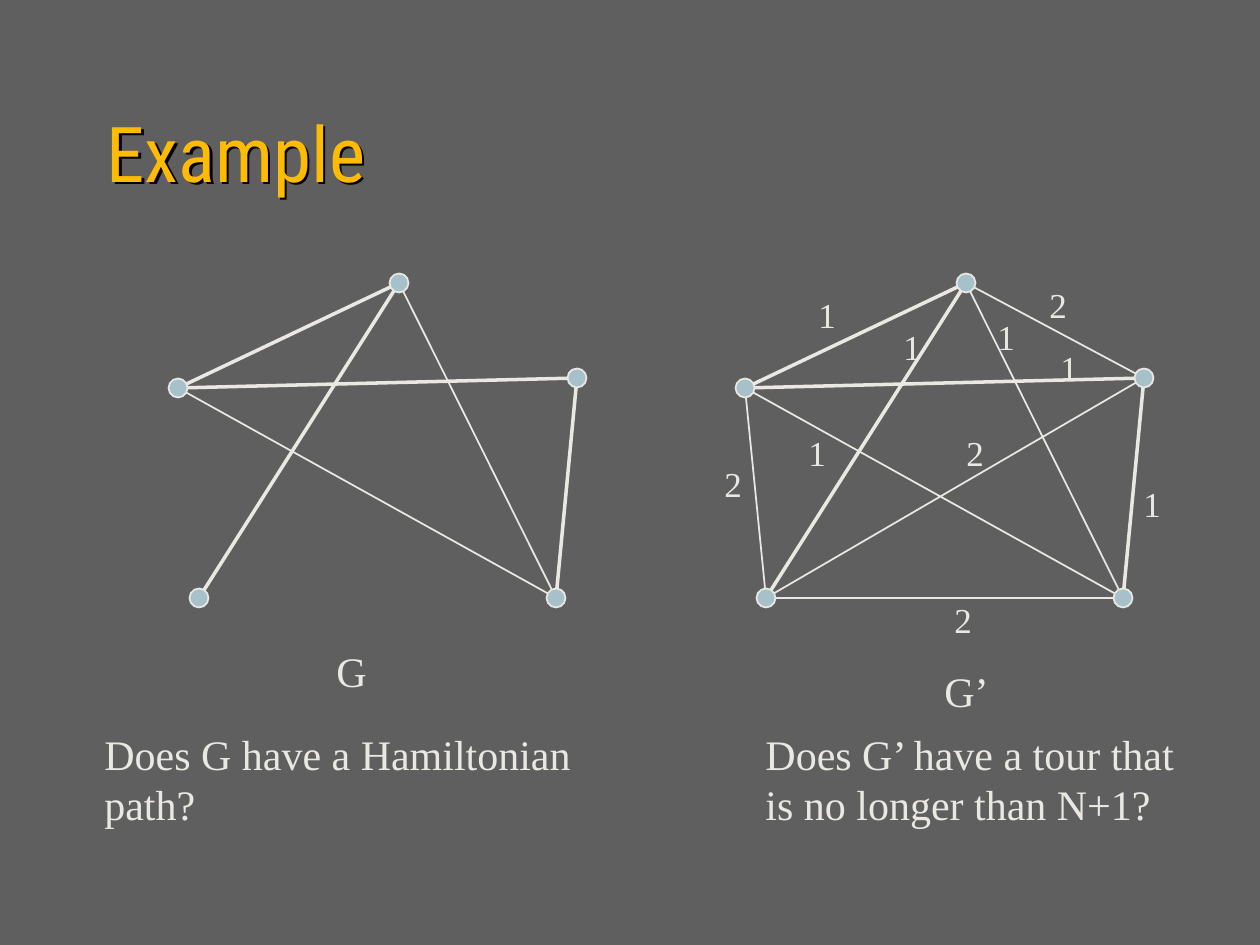
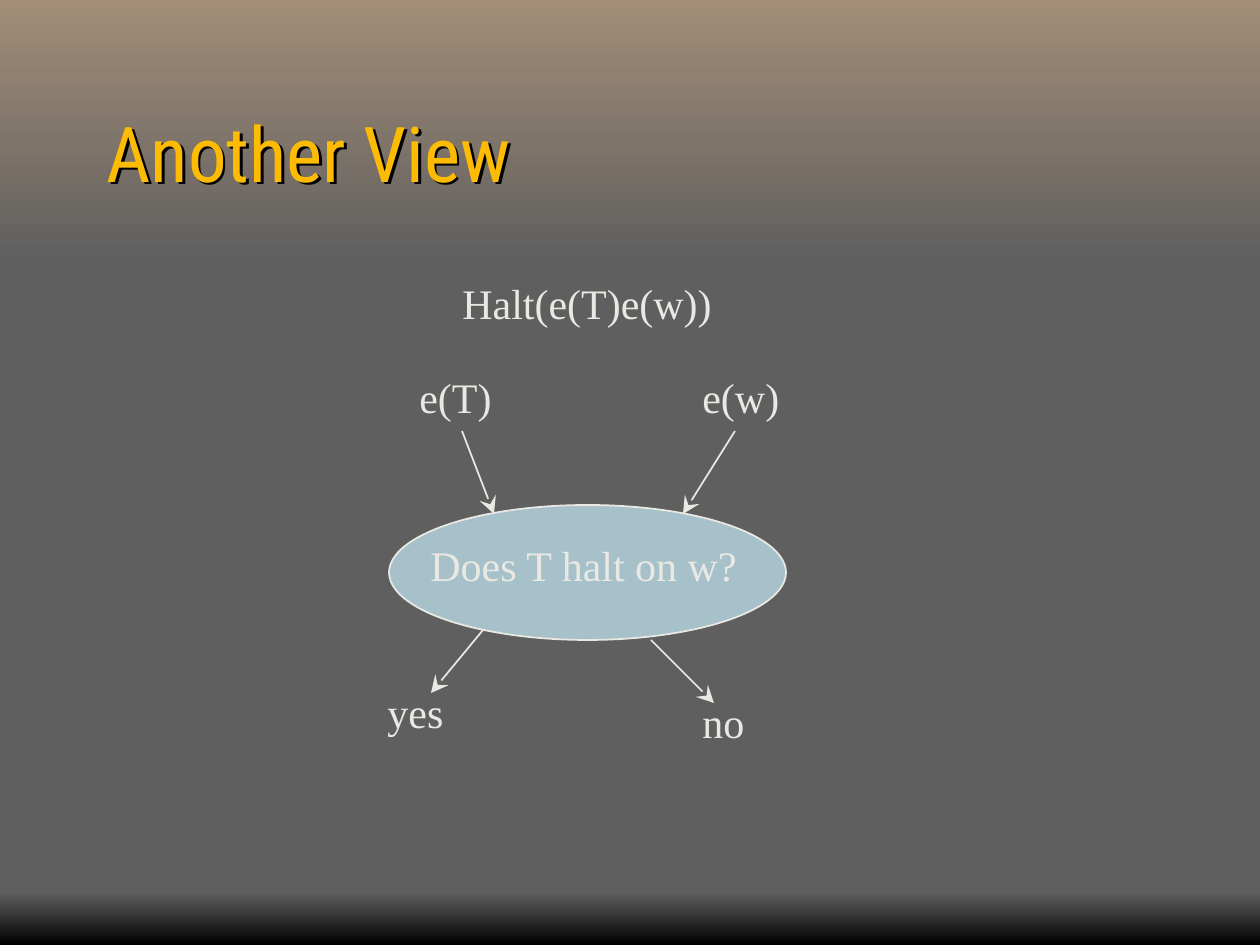
from lxml.etree import SubElement
from pptx import Presentation
from pptx.dml.color import RGBColor
from pptx.enum.shapes import MSO_CONNECTOR, MSO_SHAPE
from pptx.enum.text import MSO_ANCHOR, MSO_AUTO_SIZE, PP_ALIGN
from pptx.oxml.ns import qn
from pptx.util import Emu, Pt

SCALE = 914400 / 126
GRAY, TAN, BLACK = "5F5F5F", "A38D77", "000000"
CREAM, BLUE, GOLD = "EAE8E2", "A7C1CB", "FDBC03"
TITLE_FONT, TEXT_FONT = "Roboto Condensed", "Times New Roman"

# Graph nodes, relative to the graph's box
NODES = {"top": (221, 0), "left": (0, 105), "right": (399, 95),
         "low_left": (21, 315), "low_right": (378, 315)}
NODE_SIZE = 19
PATH_EDGES = [("top", "low_left"), ("top", "left"),
              ("left", "right"), ("right", "low_right")]
OTHER_EDGES = [("low_right", "top"), ("left", "low_right")]
RING = ["left", "top", "right", "low_right", "low_left", "left"]
STAR = ["low_left", "top", "low_right", "left", "right", "low_left"]
WEIGHTS = {
    "1": [(61, 4), (146, 36), (51, 142), (303, 57), (240, 26), (386, 193)],
    "2": [(292, -6), (209, 142), (197, 309), (-33, 173)],
}


def px(n):
    return Emu(round(n * SCALE))


def color(hex_color):
    return RGBColor.from_string(hex_color)


def style_line(line, width=1):
    line.color.rgb = color(CREAM)
    line.width = Pt(width)


def fill_text(tf, text, font=TEXT_FONT, size=24, fill=CREAM):
    """Write one paragraph per line of text."""
    for i, line in enumerate(text.split("\n")):
        p = tf.add_paragraph() if i else tf.paragraphs[0]
        p.alignment = PP_ALIGN.LEFT
        r = p.add_run()
        r.text = line
        r.font.name, r.font.size = font, Pt(size)
        r.font.color.rgb = color(fill)


def add_text(s, text, x, y, w, h=63, **fmt):
    tf = s.shapes.add_textbox(px(x), px(y), px(w), px(h)).text_frame
    tf.word_wrap = False
    tf.auto_size = MSO_AUTO_SIZE.SHAPE_TO_FIT_TEXT
    fill_text(tf, text, **fmt)


def add_ellipse(s, x, y, w, h):
    sp = s.shapes.add_shape(MSO_SHAPE.OVAL, px(x), px(y), px(w), px(h))
    sp.shadow.inherit = False
    sp.fill.solid()
    sp.fill.fore_color.rgb = color(BLUE)
    style_line(sp.line)


def add_line(s, x1, y1, x2, y2, width=1, arrow=False):
    c = s.shapes.add_connector(MSO_CONNECTOR.STRAIGHT,
                               px(x1), px(y1), px(x2), px(y2))
    style_line(c.line, width)
    sp_pr = c.element.spPr
    if arrow:
        SubElement(sp_pr.find(qn("a:ln")), qn("a:tailEnd"),
                   type="stealth", w="lg", len="lg")
    SubElement(sp_pr, qn("a:effectLst"))


def add_outline(s, points):
    builder = s.shapes.build_freeform(*points[0], scale=SCALE)
    builder.add_line_segments(points[1:], close=False)
    sp = builder.convert_to_shape()
    sp.shadow.inherit = False
    sp.fill.background()
    style_line(sp.line)


def add_band(s, y, h, upper, lower):
    sp = s.shapes.add_shape(MSO_SHAPE.RECTANGLE, 0, px(y), px(1260), px(h))
    sp.shadow.inherit = False
    sp.line.fill.background()
    sp.fill.gradient()
    sp.fill.gradient_angle = 270
    for stop, shade in zip(sp.fill.gradient_stops, (upper, lower)):
        stop.color.rgb = color(shade)


def add_title(s, text):
    title = s.shapes.title
    title.left, title.top = px(94), px(73)
    title.width, title.height = px(1071), px(157)
    tf = title.text_frame
    tf.auto_size = MSO_AUTO_SIZE.NONE
    tf.vertical_anchor = MSO_ANCHOR.MIDDLE
    fill_text(tf, text, font=TITLE_FONT, size=44, fill=GOLD)
    # On a shape without fill, the shadow falls from the letters
    title.fill.background()
    effects = SubElement(title.element.spPr, qn("a:effectLst"))
    shadow = SubElement(effects, qn("a:outerShdw"), dist="25400", dir="2700000")
    SubElement(shadow, qn("a:srgbClr"), val=BLACK)
    # Keep the title in front of the bands
    title.element.getparent().append(title.element)


def new_slide(prs, title, bands=False):
    s = prs.slides.add_slide(prs.slide_layouts[5])
    if bands:
        add_band(s, 0, 262, TAN, GRAY)
        add_band(s, 892, 53, GRAY, BLACK)
    add_title(s, title)
    return s


def add_graph(s, x, y, complete=False):
    at = {name: (x + dx, y + dy) for name, (dx, dy) in NODES.items()}
    # Edges
    for a, b in PATH_EDGES:
        add_line(s, *at[a], *at[b], width=2)
    if complete:
        for outline in (RING, STAR):
            add_outline(s, [at[name] for name in outline])
    else:
        for a, b in OTHER_EDGES:
            add_line(s, *at[a], *at[b])
    # Nodes
    for cx, cy in at.values():
        add_ellipse(s, cx - NODE_SIZE / 2, cy - NODE_SIZE / 2,
                    NODE_SIZE, NODE_SIZE)
    # Edge weights
    if complete:
        for weight, places in WEIGHTS.items():
            for dx, dy in places:
                add_text(s, weight, x + dx, y + dy, 43, 54, size=20)


def add_halt_flow(s, x, y):
    # Decision
    add_ellipse(s, x + 14, y + 234, 397, 135)
    # Labels
    for text, dx, dy, w in [("Halt(e(T)e(w))", 75, 0, 275),
                            ("e(T)", 32, 94, 98), ("e(w)", 315, 94, 102),
                            ("Does T halt on w?", 43, 262, 334),
                            ("yes", 0, 409, 82), ("no", 315, 419, 68)]:
        add_text(s, text, x + dx, y + dy, w)
    # Arrows in and out
    for x1, y1, x2, y2 in [(87, 160, 119, 243), (360, 160, 308, 243),
                           (108, 359, 56, 422), (276, 369, 339, 432)]:
        add_line(s, x + x1, y + y1, x + x2, y + y2, arrow=True)


def example_slide(prs):
    s = new_slide(prs, "Example")
    add_graph(s, 178, 283)
    add_text(s, "G", 324, 639, 56)
    add_text(s, "Does G have a Hamiltonian\npath?", 92, 722, 503, 113)
    add_graph(s, 745, 283, complete=True)
    add_text(s, "G’", 932, 659, 72)
    add_text(s, "Does G’ have a tour that\nis no longer than N+1?",
             753, 722, 448, 113)


def another_view_slide(prs):
    s = new_slide(prs, "Another View", bands=True)
    add_halt_flow(s, 375, 271)


def main():
    prs = Presentation()
    prs.slide_width, prs.slide_height = px(1260), px(945)
    background = prs.slide_master.background.fill
    background.solid()
    background.fore_color.rgb = color(GRAY)
    example_slide(prs)
    another_view_slide(prs)
    prs.save("out.pptx")


if __name__ == "__main__":
    main()
